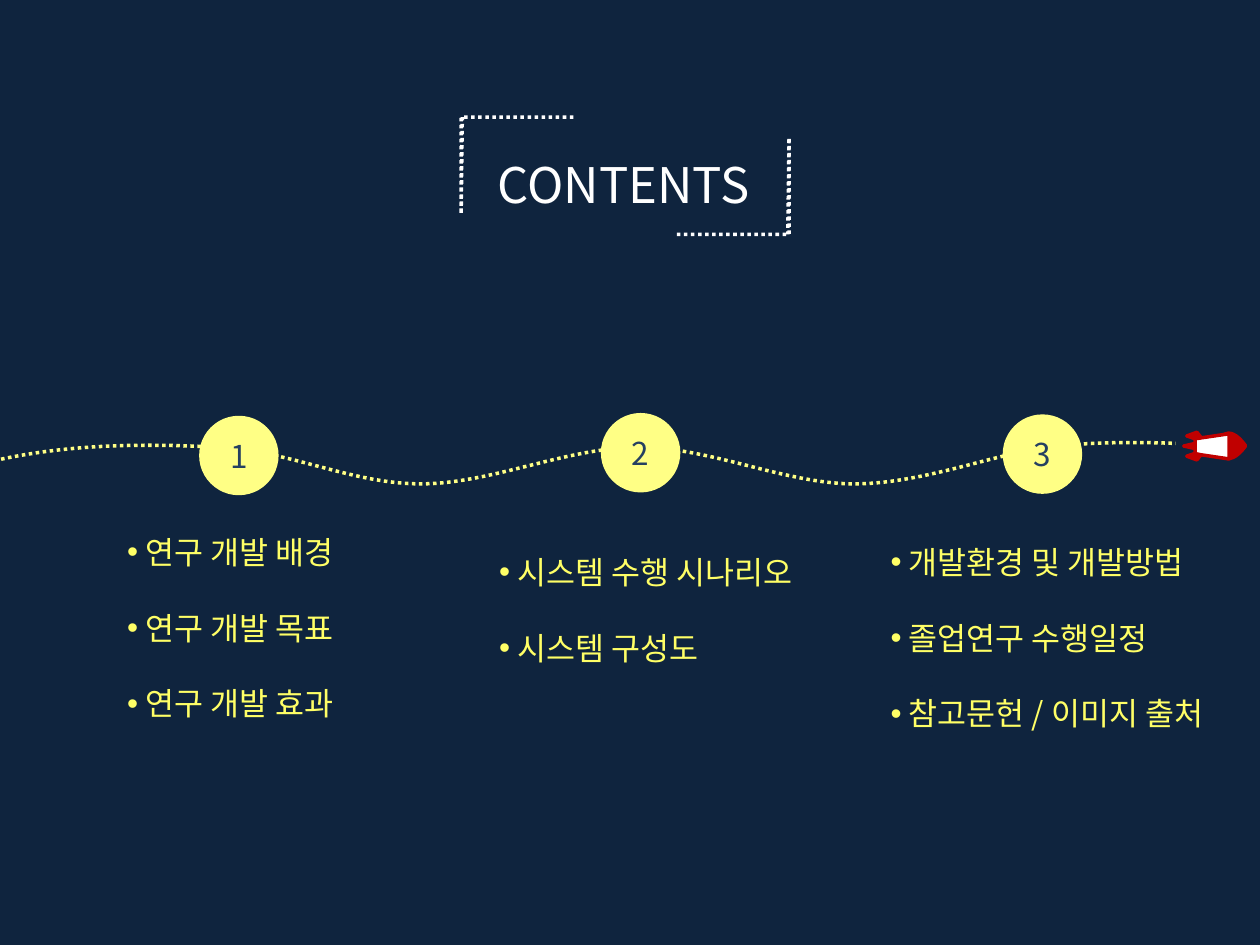
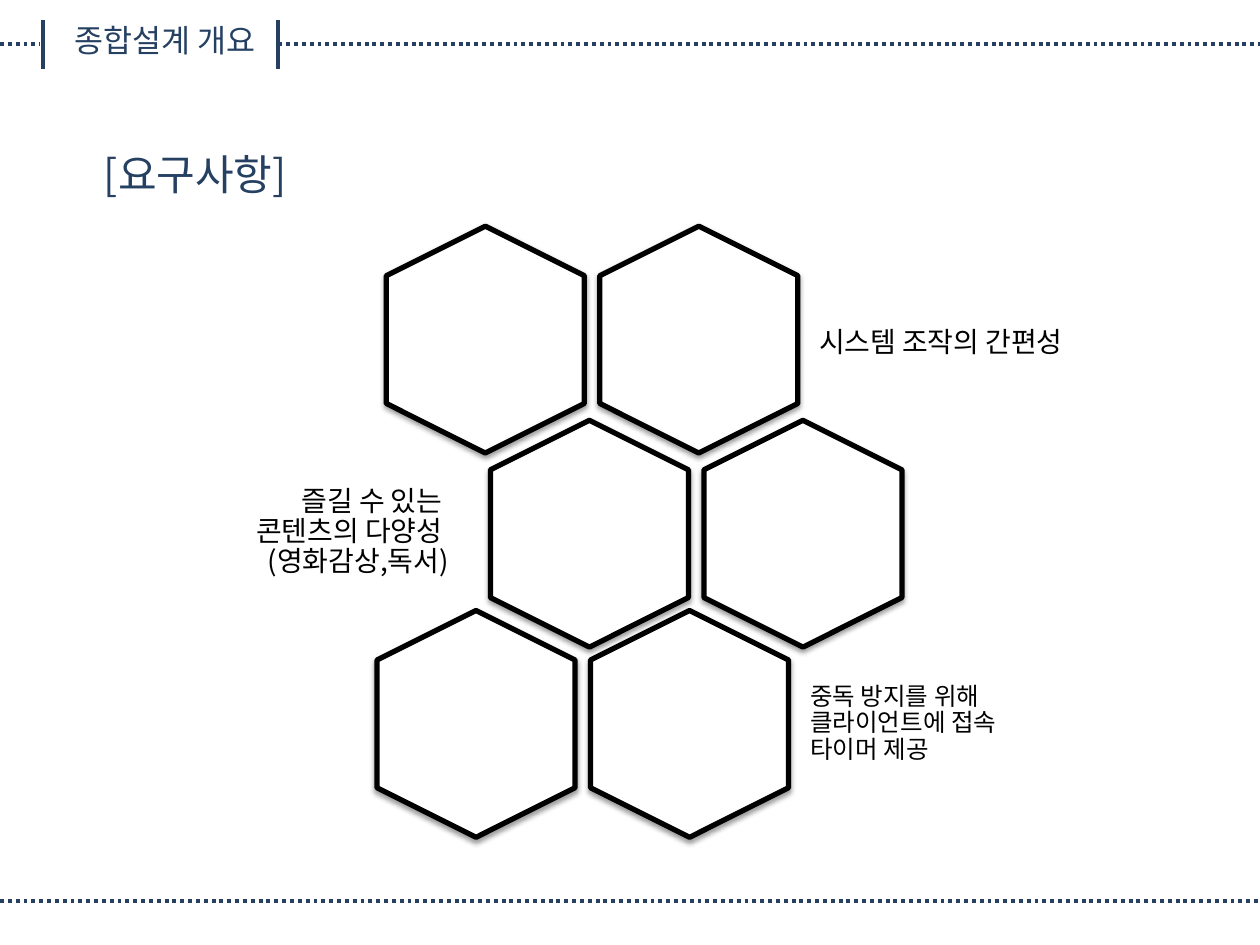
from dataclasses import dataclass

import lxml.etree
import pptx
import pptx.dml.color
import pptx.enum.dml
import pptx.enum.shapes
import pptx.enum.text
import pptx.oxml
import pptx.oxml.ns
import pptx.util

Pt = pptx.util.Pt
qn = pptx.oxml.ns.qn
Shape = pptx.enum.shapes.MSO_SHAPE
Align = pptx.enum.text.PP_ALIGN
Anchor = pptx.enum.text.MSO_ANCHOR

# Shared look
FONT = "Noto Sans CJK KR"
NAVY, BLUE = "0F243E", "254061"
YELLOW, LIST_YELLOW = "FFFF85", "FFFF66"
RED, WHITE, BLACK = "C00000", "FFFFFF", "000000"
LINE_HEIGHT = 1.2

Point = tuple[float, float]
Frame = tuple[float, float, float, float]  # left, top, width, height


@dataclass(frozen=True)
class Topic:
    circle_top: float
    frame: Frame
    items: list[str]


@dataclass(frozen=True)
class HexagonRow:
    left: float
    top: float


@dataclass(frozen=True)
class Callout:
    text: str
    frame: Frame
    size: float
    align: Align = Align.LEFT


TOPICS = [
    Topic(237.6, (65.5, 301, 187.2, 116.6), ["연구 개발 배경", "연구 개발 목표", "연구 개발 효과"]),
    Topic(236, (278, 312.5, 187.2, 72.7), ["시스템 수행 시나리오", "시스템 구성도"]),
    Topic(236.8, (501.8, 306.7, 198.7, 116.6),
          ["개발환경 및 개발방법", "졸업연구 수행일정", "참고문헌 / 이미지 출처"]),
]
CIRCLE_LEFT, CIRCLE_PITCH, CIRCLE_SIZE = 113.8, 229.6, 45.4

# Start of the route, then two control points and an end for each bend
ROUTE = [
    (-7.2, 264.2), (37.4, 253.4), (83.5, 253.4), (125.3, 255.6),
    (166.3, 257.8), (200.9, 276.5), (240.5, 276.5),
    (280.8, 276.5), (324, 255.6), (365, 255.6),
    (406.1, 255.6), (448.6, 276.5), (488.2, 276.5),
    (527, 276.5), (568.8, 259.2), (599, 255.6),
    (630, 251.3), (671.8, 253.4), (671.8, 253.4),
]
BRACKET = [(327.6, 67), (263.5, 67), (263.5, 122.4), (264.2, 67)]
BRACKET_SUM = (714.4, 201)  # a corner plus its opposite corner
FIN = [(686.2, 249.8), (684, 247), (678.2, 249.1), (682.6, 250.6)]
ROCKET_AXIS = 254.9

HEXAGON_SIZE, HEXAGON_PITCH = (129.6, 113.2), 122
HEXAGON_ROWS = [HexagonRow(212.5, 137.5), HexagonRow(272, 248.4), HexagonRow(207.2, 357.1)]
CALLOUTS = [
    Callout("시스템 조작의 간편성", (463, 157, 239, 77.8), 16),
    Callout("즐길 수 있는 \v콘텐츠의 다양성 \v(영화감상,독서)", (50.4, 265, 211, 77.8), 16, Align.RIGHT),
    Callout("중독 방지를 위해\v클라이언트에 접속\v타이머 제공", (458, 374.4, 157, 77.8), 14),
]


def rgb(value: str) -> pptx.dml.color.RGBColor:
    return pptx.dml.color.RGBColor.from_string(value)


def points(values) -> list:
    return [Pt(value) for value in values]


# Styling helpers
def style_line(line, color: str, width: float, dotted: bool = False) -> None:
    line.color.rgb = rgb(color)
    line.width = Pt(width)
    if dotted:
        line.dash_style = pptx.enum.dml.MSO_LINE.ROUND_DOT


def style_shape(shape, fill: str | None, line: str | None, width: float = 2, dotted: bool = False) -> None:
    shape.shadow.inherit = False
    if fill:
        shape.fill.solid()
        shape.fill.fore_color.rgb = rgb(fill)
    else:
        shape.fill.background()
    if line:
        style_line(shape.line, line, width, dotted)
    else:
        shape.line.fill.background()


def style_paragraph(para, size: float, color: str, spacing: float = 1, align: Align = Align.LEFT) -> None:
    para.alignment = align
    para.line_spacing = Pt(size * LINE_HEIGHT * spacing)
    para.space_before = Pt(0)
    font = para.font
    font.size, font.bold, font.name = Pt(size), False, FONT
    font.color.rgb = rgb(color)
    lxml.etree.SubElement(font._rPr, qn("a:ea"), typeface=FONT)


def place(box, frame: Frame) -> None:
    box.left, box.top, box.width, box.height = points(frame)


def style_frame(box, wrap: bool, anchor: Anchor = Anchor.TOP, inset: Point = (7.2, 3.6)) -> None:
    frame = box.text_frame
    frame.auto_size = pptx.enum.text.MSO_AUTO_SIZE.NONE
    frame.word_wrap, frame.vertical_anchor = wrap, anchor
    frame.margin_left = frame.margin_right = Pt(inset[0])
    frame.margin_top = frame.margin_bottom = Pt(inset[1])


# Drawing helpers
def set_title(page, text: str, frame: Frame, size: float, color: str) -> None:
    title = page.shapes.title
    place(title, frame)
    style_frame(title, wrap=False)
    title.text_frame.text = text
    style_paragraph(title.text_frame.paragraphs[0], size, color, 1.5, Align.CENTER)


def fill_list(body, topic: Topic) -> None:
    place(body, topic.frame)
    style_frame(body, wrap=True)
    body.text_frame.text = "\n".join(f" {item}" for item in topic.items)
    for index, para in enumerate(body.text_frame.paragraphs):
        style_paragraph(para, 18, LIST_YELLOW)
        para.space_before = Pt(18 * LINE_HEIGHT if index else 0)
        properties = para._p.get_or_add_pPr()
        properties.set("marL", "0")
        properties.set("indent", "0")
        bullet = lxml.etree.Element(qn("a:buChar"), char="•")
        para.font._rPr.addprevious(bullet)


def add_text(page, text: str, frame: Frame, size: float, color: str, spacing: float = 1,
             align: Align = Align.LEFT, **frame_style) -> None:
    box = page.shapes.add_textbox(*points(frame))
    style_frame(box, **frame_style)
    box.text_frame.text = text
    style_paragraph(box.text_frame.paragraphs[0], size, color, spacing, align)


def add_line(page, start: Point, end: Point, dotted: bool = False) -> None:
    line = page.shapes.add_connector(pptx.enum.shapes.MSO_CONNECTOR.STRAIGHT, *points(start + end))
    style_line(line.line, BLUE, 2.25, dotted)
    lxml.etree.SubElement(line._element.spPr, qn("a:effectLst"))


def add_outline(page, corners: list[Point], close: bool = False):
    start, *rest = [points(corner) for corner in corners]
    builder = page.shapes.build_freeform(*start)
    builder.add_line_segments(rest, close=close)
    return builder.convert_to_shape()


def add_curve(page, corners: list[Point]):
    shape = add_outline(page, corners)
    steps = list(shape._element.iter(qn("a:lnTo")))
    for first in range(0, len(steps), 3):
        bend = lxml.etree.Element(qn("a:cubicBezTo"))
        steps[first].addprevious(bend)
        for step in steps[first:first + 3]:
            bend.append(step[0])
            step.getparent().remove(step)
    return shape


def add_preset(page, kind: Shape, frame: Frame, fill: str, line: str | None,
               width: float = 2, rotation: float = 0):
    shape = page.shapes.add_shape(kind, *points(frame))
    shape.rotation = rotation
    style_shape(shape, fill, line, width)
    return shape


def add_soft_shadow(shape) -> None:
    effects = shape._element.spPr.find(qn("a:effectLst"))
    shadow = lxml.etree.SubElement(effects, qn("a:outerShdw"), blurRad=str(Pt(3.1)),
                                   dist=str(Pt(1.6)), dir="5400000", rotWithShape="0")
    color = lxml.etree.SubElement(shadow, qn("a:srgbClr"), val=BLACK)
    lxml.etree.SubElement(color, qn("a:alpha"), val="38000")


def add_page(deck, layout: int, background: str):
    page = deck.slides.add_slide(deck.slide_layouts[layout])
    page.background.fill.solid()
    page.background.fill.fore_color.rgb = rgb(background)
    return page


# Pages
def add_rocket(page) -> None:
    add_preset(page, Shape.HEART, (697.7, 247.9, 14.4, 13.7), RED, RED, rotation=270)
    add_preset(page, Shape.FLOWCHART_MANUAL_OPERATION, (685.4, 245.4, 14.4, 19.4), WHITE, RED, rotation=90)
    lower_fin = [(x, 2 * ROCKET_AXIS - y) for x, y in FIN]
    for corners in (FIN, lower_fin):
        style_shape(add_outline(page, corners, close=True), RED, RED)
    add_preset(page, Shape.ISOSCELES_TRIANGLE, (678.2, 251.6, 2.9, 6.5), RED, RED, rotation=270)


def add_contents_page(deck) -> None:
    page = add_page(deck, 4, NAVY)
    style_shape(add_curve(page, ROUTE), None, YELLOW, dotted=True)

    # Title between two dotted brackets
    set_title(page, "CONTENTS", (275, 67.7, 162.7, 56.9), 28, WHITE)
    opposite = [(BRACKET_SUM[0] - x, BRACKET_SUM[1] - y) for x, y in BRACKET]
    for corners in (BRACKET, opposite):
        style_shape(add_outline(page, corners), None, WHITE, dotted=True)

    # Numbered stops with their lists
    title, *bodies = list(page.placeholders)
    for index, (topic, body) in enumerate(zip(TOPICS, bodies)):
        frame = (CIRCLE_LEFT + index * CIRCLE_PITCH, topic.circle_top, CIRCLE_SIZE, CIRCLE_SIZE)
        circle = add_preset(page, Shape.OVAL, frame, YELLOW, None)
        style_frame(circle, wrap=False, anchor=Anchor.MIDDLE, inset=(0, 0))
        circle.text_frame.text = str(index + 1)
        style_paragraph(circle.text_frame.paragraphs[0], 18, BLUE, align=Align.CENTER)
        fill_list(body, topic)
    for unused in bodies[len(TOPICS):]:
        unused._element.getparent().remove(unused._element)
    add_rocket(page)


def add_requirements_page(deck) -> None:
    page = add_page(deck, 5, WHITE)

    # Header and footer rules
    for start, end, height in ((0, 720, 514.8), (159.1, 720, 25.4), (0, 23, 25.4)):
        add_line(page, (start, height), (end, height), dotted=True)
    for x in (24.5, 159.1):
        add_line(page, (x, 11.5), (x, 39.4))
    add_text(page, "종합설계 개요", (35.3, 8.6, 121, 28.8), 18, BLUE, wrap=False)
    set_title(page, "[요구사항]", (43.9, 67, 135.4, 51.1), 24, BLUE)

    # Honeycomb
    for row in HEXAGON_ROWS:
        for column in range(2):
            frame = (row.left + column * HEXAGON_PITCH, row.top, *HEXAGON_SIZE)
            add_soft_shadow(add_preset(page, Shape.HEXAGON, frame, WHITE, BLACK, 3, 90))
    for callout in CALLOUTS:
        add_text(page, callout.text, callout.frame, callout.size, BLACK, 0.9, callout.align,
                 wrap=True, anchor=Anchor.MIDDLE, inset=(5, 5))


def main() -> None:
    deck = pptx.Presentation()
    deck.slide_width, deck.slide_height = Pt(720), Pt(540)
    add_contents_page(deck)
    add_requirements_page(deck)
    deck.save("out.pptx")


if __name__ == "__main__":
    main()
